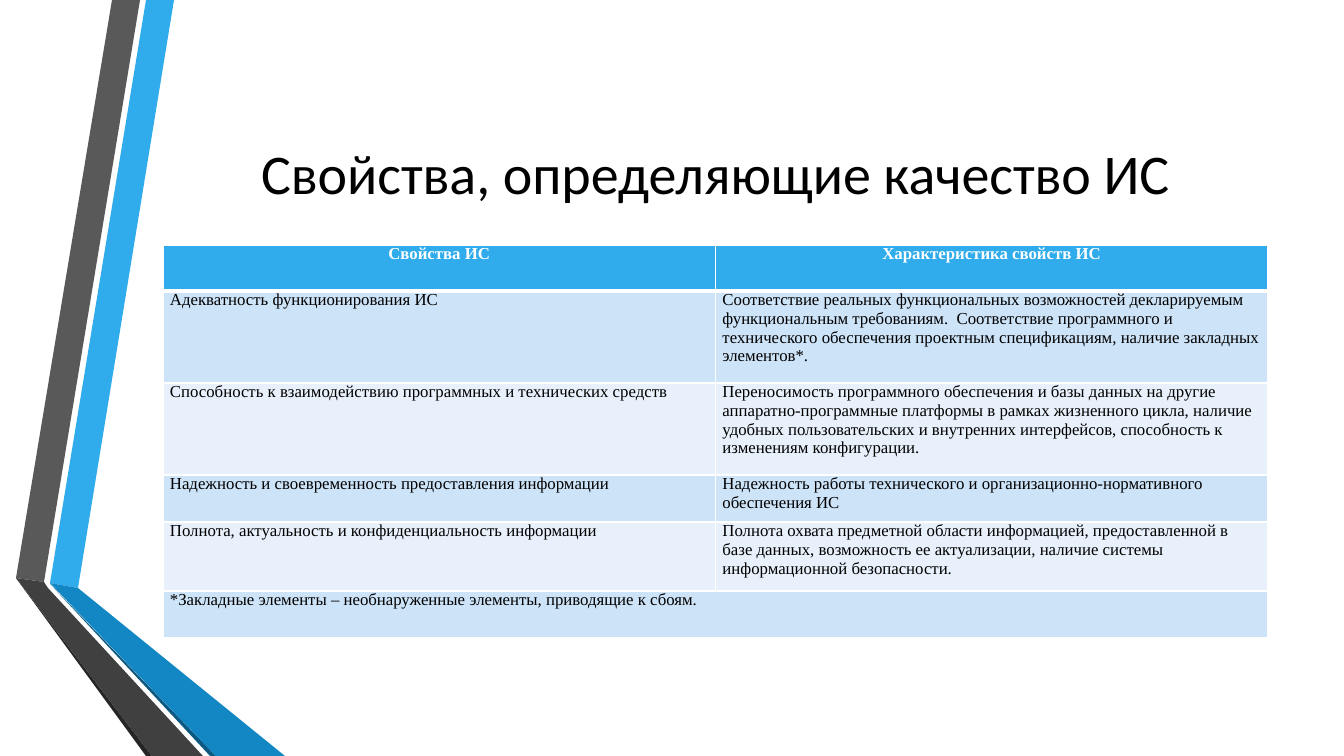
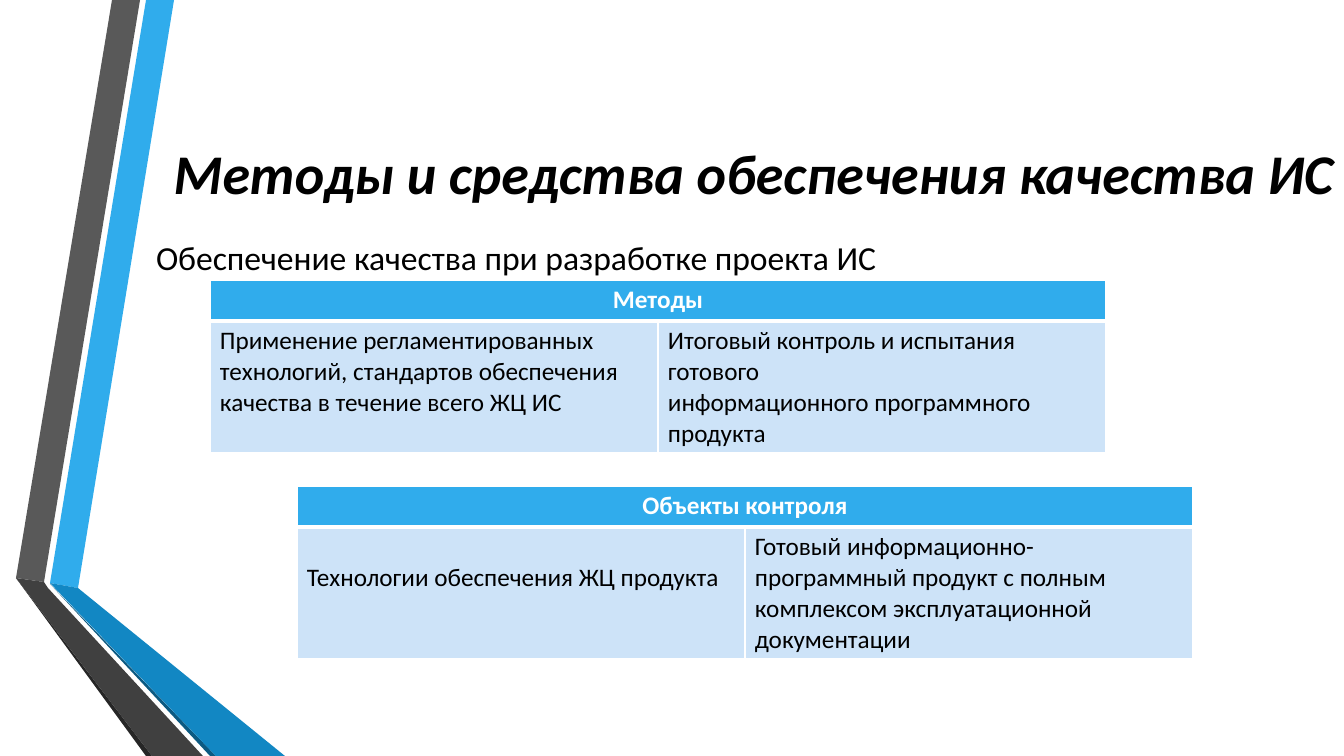
from lxml import etree
from pptx import Presentation
from pptx import util as u
from pptx.dml import color
from pptx.enum import text
from pptx.oxml import ns

SCALE = 914400 / 100.8
COLORS = {
    "black": "000000",
    "white": "FFFFFF",
    "blue": "30ACEC",
    "mid_blue": "1287C3",
    "deep_blue": "0C5A82",
    "gray": "595959",
    "dark_gray": "404040",
    "shadow_gray": "262626",
    "row_dark": "CDE3F8",
    "row_light": "E8F1FB",
}
BANDS = [
    ("blue", [(50, 583), (78, 588), (174, 0), (146, 0)]),
    ("gray", [(140, 0), (112, 0), (16, 578), (44, 582)]),
    ("shadow_gray", [(16, 578), (146, 756), (152, 756)]),
    ("deep_blue", [(50, 584), (210, 756), (216, 756)]),
    ("mid_blue", [(50, 583), (216, 756), (285, 756), (78, 588)]),
    ("dark_gray", [(203, 756), (48, 588), (44, 582), (16, 578), (152, 756)]),
]
QUALITY_ROWS = [
    ("Свойства ИС", "Характеристика свойств ИС"),
    ("Адекватность функционирования ИС",
     "Соответствие реальных функциональных возможностей декларируемым "
     "функциональным требованиям.\u00a0\u00a0Соответствие программного и технического "
     "обеспечения проектным спецификациям, наличие закладных элементов*."),
    ("Способность к взаимодействию программных и технических средств",
     "Переносимость программного обеспечения и базы данных на другие "
     "аппаратно-программные платформы в рамках жизненного цикла, наличие удобных "
     "пользовательских и внутренних интерфейсов, способность к изменениям конфигурации."),
    ("Надежность и своевременность предоставления информации",
     "Надежность работы технического и организационно-нормативного обеспечения ИС"),
    ("Полнота, актуальность и конфиденциальность информации",
     "Полнота охвата предметной области информацией, предоставленной в базе данных, "
     "возможность ее актуализации, наличие системы информационной безопасности."),
    ("*Закладные элементы – необнаруженные элементы, приводящие к сбоям.",),
]
METHOD_ROWS = [
    ("Методы",),
    ("Применение регламентированных технологий, стандартов обеспечения качества "
     "в течение всего ЖЦ ИС",
     "Итоговый контроль и испытания готового "
     "информационного\u00a0программного продукта"),
]
CONTROL_ROWS = [
    ("Объекты контроля",),
    ("Технологии обеспечения ЖЦ продукта",
     "Готовый информационно-программный продукт с полным комплексом "
     "эксплуатационной документации"),
]


def px(value):
    return u.Emu(round(value * SCALE))


def rgb(name):
    return color.RGBColor.from_string(COLORS[name])


def style_paragraph(paragraph, size, font="Calibri", ink="black", bold=False,
                    italic=False, centered=False):
    paragraph.font.size = u.Pt(size)
    paragraph.font.name = font
    paragraph.font.bold = bold
    paragraph.font.italic = italic
    paragraph.font.color.rgb = rgb(ink)
    paragraph.alignment = text.PP_ALIGN.CENTER if centered else text.PP_ALIGN.LEFT


def add_bands(slide):
    for name, points in BANDS:
        builder = slide.shapes.build_freeform(*points[0], scale=SCALE)
        builder.add_line_segments(points[1:], close=True)
        band = builder.convert_to_shape()
        band.shadow.inherit = False
        band.fill.solid()
        band.fill.fore_color.rgb = rgb(name)
        band.line.fill.background()


def add_text(slide, wording, box, size, **style):
    frame = slide.shapes.add_textbox(*map(px, box)).text_frame
    frame.word_wrap = True
    frame.margin_left = frame.margin_right = 0
    frame.vertical_anchor = text.MSO_ANCHOR.MIDDLE
    frame.text = wording
    style_paragraph(frame.paragraphs[0], size, **style)


def add_title(slide, wording, width, **style):
    add_text(slide, wording, (163, 76, width, 193), 40, centered=True, **style)


def set_borders(cell, top, bottom):
    properties = cell._tc.get_or_add_tcPr()
    widths = {"a:lnL": 1, "a:lnR": 1, "a:lnT": top, "a:lnB": bottom}
    for position, (tag, points) in enumerate(widths.items()):
        line = etree.Element(ns.qn(tag), w=str(u.Pt(points)))
        fill = etree.SubElement(line, ns.qn("a:solidFill"))
        etree.SubElement(fill, ns.qn("a:srgbClr"), val=COLORS["white"])
        properties.insert(position, line)


def add_table(slide, rows, box, heights, size, font="Calibri", margins=(10, 5)):
    left, top, width = box
    frame = slide.shapes.add_table(len(rows), 2, px(left), px(top), px(width),
                                   px(sum(heights)))
    table = frame.table
    table.first_row = table.horz_banding = False
    for column in table.columns:
        column.width = px(width / 2)
    for index, (wordings, height) in enumerate(zip(rows, heights)):
        table.rows[index].height = px(height)
        header = index == 0
        fill = "blue" if header else ("row_light", "row_dark")[index % 2]
        for cell in table.rows[index].cells:
            cell.fill.solid()
            cell.fill.fore_color.rgb = rgb(fill)
            cell.margin_left = cell.margin_right = px(margins[0])
            cell.margin_top = cell.margin_bottom = px(margins[1])
            set_borders(cell, 3 if index == 1 else 1, 3 if header else 1)
        if len(wordings) == 1:
            table.cell(index, 0).merge(table.cell(index, 1))
        for column, wording in enumerate(wordings):
            cell = table.cell(index, column)
            cell.text = wording
            style_paragraph(cell.text_frame.paragraphs[0], size, font,
                            "white" if header else "black", bold=header,
                            centered=header)
    return table


def add_slide(presentation):
    slide = presentation.slides.add_slide(presentation.slide_layouts[6])
    add_bands(slide)
    return slide


def build_properties(presentation):
    slide = add_slide(presentation)
    add_title(slide, "Свойства, определяющие качество ИС", 1105)
    add_table(slide, QUALITY_ROWS, (163, 245, 1105), (46, 92, 92, 47, 69, 47),
              12, "Times New Roman", (7, 0))


def build_methods(presentation):
    slide = add_slide(presentation)
    add_title(slide, "Методы и средства обеспечения качества ИС", 1181,
              bold=True, italic=True)
    add_text(slide, "Обеспечение качества при разработке проекта ИС",
             (156, 233, 1139, 48), 24)
    heights = (41, 132)
    add_table(slide, METHOD_ROWS, (210, 280, 896), heights, 18)
    control = add_table(slide, CONTROL_ROWS, (297, 486, 896), heights, 18)
    control.cell(1, 0).margin_top = px(36)


def main():
    presentation = Presentation()
    presentation.slide_width = px(1344)
    presentation.slide_height = px(756)
    build_properties(presentation)
    build_methods(presentation)
    presentation.save("out.pptx")


main()
